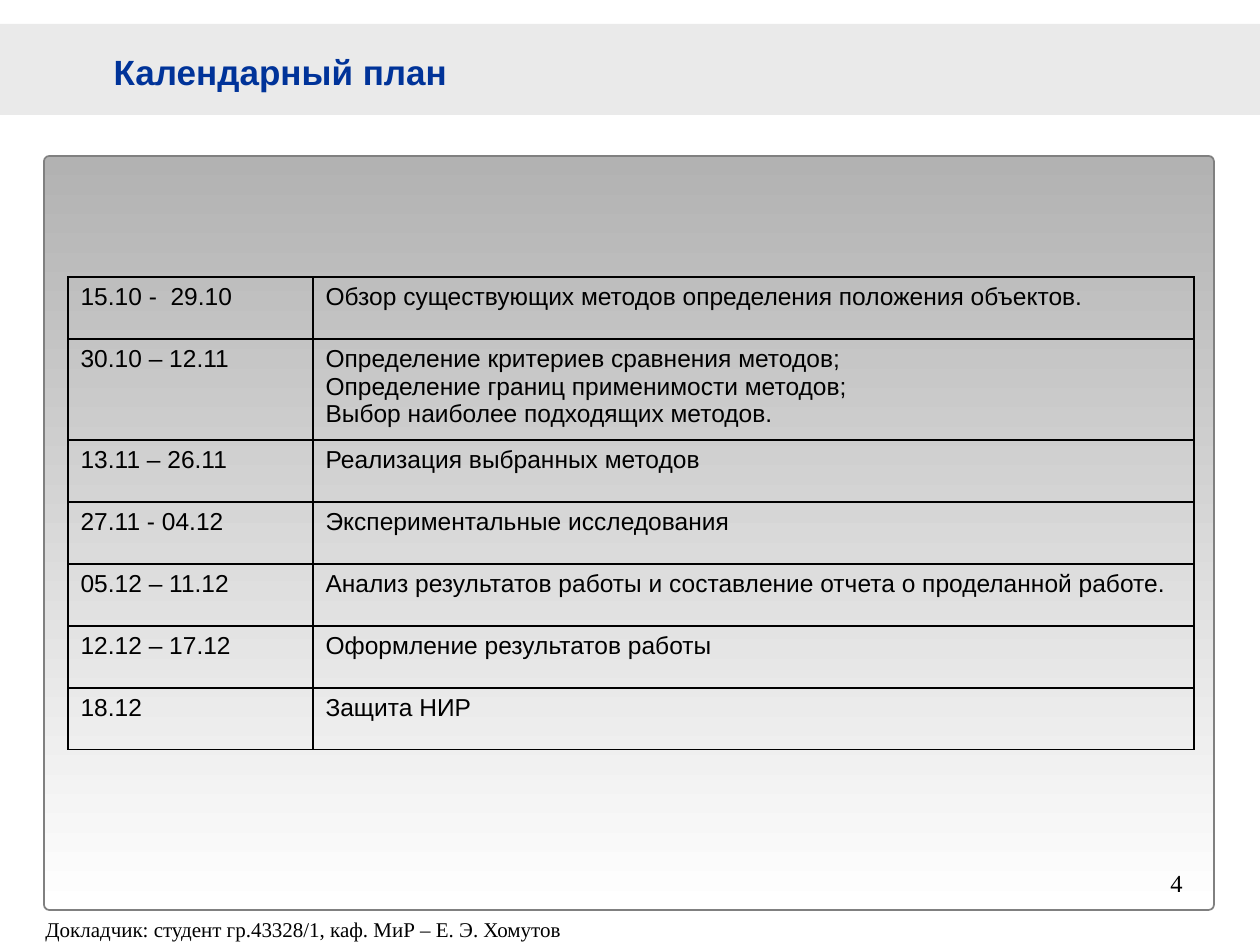
from dataclasses import dataclass
from typing import NamedTuple

from lxml.etree import SubElement
from pptx import Presentation
from pptx.dml.color import RGBColor
from pptx.enum.shapes import MSO_SHAPE
from pptx.enum.text import MSO_ANCHOR, PP_ALIGN
from pptx.oxml.ns import qn
from pptx.util import Emu, Pt

PX_PER_INCH = 126


@dataclass(frozen=True)
class Theme:
    sans: str = "Arial"
    serif: str = "Times New Roman"
    ink: str = "000000"
    title: str = "003399"
    band: str = "EAEAEA"
    panel_top: str = "B2B2B2"
    panel_bottom: str = "FFFFFF"
    panel_line: str = "808080"
    title_size: int = 20
    body_size: int = 14
    footer_size: int = 12
    line_width: int = 1


class Box(NamedTuple):
    left: int
    top: int
    width: int
    height: int


class Stage(NamedTuple):
    dates: str
    tasks: tuple[str, ...]
    height: int = 62


THEME = Theme()
BAND = Box(0, 24, 1260, 91)
PANEL = Box(44, 156, 1170, 754)
TITLE = Box(101, 44, 363, 55)
FOOTER = Box(33, 905, 987, 40)
PAGE_NUMBER = Box(1158, 862, 39, 43)
TABLE = Box(68, 277, 1126, 473)
COLUMNS = (245, 881)
STAGES = (
    Stage("15.10 -  29.10", ("Обзор существующих методов определения положения объектов.",)),
    Stage(
        "30.10 – 12.11",
        (
            "Определение критериев сравнения методов;",
            "Определение границ применимости методов;",
            "Выбор наиболее подходящих методов.",
        ),
        101,
    ),
    Stage("13.11 – 26.11", ("Реализация выбранных методов",)),
    Stage("27.11 - 04.12", ("Экспериментальные исследования",)),
    Stage("05.12 – 11.12", ("Анализ результатов работы и составление отчета о проделанной работе.",)),
    Stage("12.12 – 17.12", ("Оформление результатов работы",)),
    Stage("18.12", ("Защита НИР",)),
)


def px(value: int) -> Emu:
    return Emu(round(value * 914400 / PX_PER_INCH))


def place(box: Box) -> tuple[Emu, ...]:
    return tuple(px(v) for v in box)


def rgb(color: str) -> RGBColor:
    return RGBColor.from_string(color)


def style(p, font: str, size: int, color: str = THEME.ink, bold: bool = False) -> None:
    p.font.name = font
    p.font.size = Pt(size)
    p.font.bold = bold
    p.font.color.rgb = rgb(color)


def add_band(s) -> None:
    sp = s.shapes.add_shape(MSO_SHAPE.RECTANGLE, *place(BAND))
    sp.shadow.inherit = False
    sp.fill.solid()
    sp.fill.fore_color.rgb = rgb(THEME.band)
    sp.line.fill.background()


def add_panel(s) -> None:
    sp = s.shapes.add_shape(MSO_SHAPE.ROUNDED_RECTANGLE, *place(PANEL))
    sp.adjustments[0] = 0.007
    sp.shadow.inherit = False
    sp.fill.gradient()
    sp.fill.gradient_angle = 270
    for stop, color in zip(sp.fill.gradient_stops, (THEME.panel_top, THEME.panel_bottom)):
        stop.color.rgb = rgb(color)
    sp.line.color.rgb = rgb(THEME.panel_line)
    sp.line.width = Pt(THEME.line_width)


def set_title(s, text: str) -> None:
    """Fill the title placeholder and bring it in front of the band."""
    sp = s.shapes.title
    sp.left, sp.top, sp.width, sp.height = place(TITLE)
    tf = sp.text_frame
    tf.text = text
    tf.word_wrap = False
    tf.vertical_anchor = MSO_ANCHOR.TOP
    p = tf.paragraphs[0]
    p.alignment = PP_ALIGN.LEFT
    p.space_after = Pt(10)
    style(p, THEME.sans, THEME.title_size, THEME.title, bold=True)
    sp.element.getparent().append(sp.element)


def add_text(s, box: Box, text: str, size: int, line_spacing: float = 1.0) -> None:
    tf = s.shapes.add_textbox(*place(box)).text_frame
    tf.word_wrap = True
    tf.text = text
    p = tf.paragraphs[0]
    p.line_spacing = line_spacing
    style(p, THEME.serif, size)


def add_borders(cell) -> None:
    tc_pr = cell._tc.get_or_add_tcPr()
    for side in ("L", "R", "T", "B"):
        ln = SubElement(tc_pr, qn(f"a:ln{side}"), w=str(Pt(THEME.line_width)))
        fill = SubElement(ln, qn("a:solidFill"))
        SubElement(fill, qn("a:srgbClr"), val=THEME.ink)


def fill_cell(cell, lines: tuple[str, ...]) -> None:
    cell.text = "\n".join(lines)
    for p in cell.text_frame.paragraphs:
        style(p, THEME.sans, THEME.body_size)
    add_borders(cell)
    cell.fill.background()


def add_schedule(s) -> None:
    table = s.shapes.add_table(len(STAGES), len(COLUMNS), *place(TABLE)).table
    table.first_row = False
    table.horz_banding = False
    for column, width in zip(table.columns, COLUMNS):
        column.width = px(width)
    for row, stage in zip(table.rows, STAGES):
        row.height = px(stage.height)
        fill_cell(row.cells[0], (stage.dates,))
        fill_cell(row.cells[1], stage.tasks)


def main() -> None:
    prs = Presentation()
    prs.slide_width, prs.slide_height = px(1260), px(945)
    s = prs.slides.add_slide(prs.slide_layouts[5])
    add_band(s)
    add_panel(s)
    set_title(s, "Календарный план")
    add_text(s, FOOTER, "Докладчик: студент гр.43328/1, каф. МиР – Е. Э. Хомутов",
             THEME.footer_size, line_spacing=1.2)
    add_text(s, PAGE_NUMBER, "4", THEME.body_size)
    add_schedule(s)
    prs.save("out.pptx")


if __name__ == "__main__":
    main()
